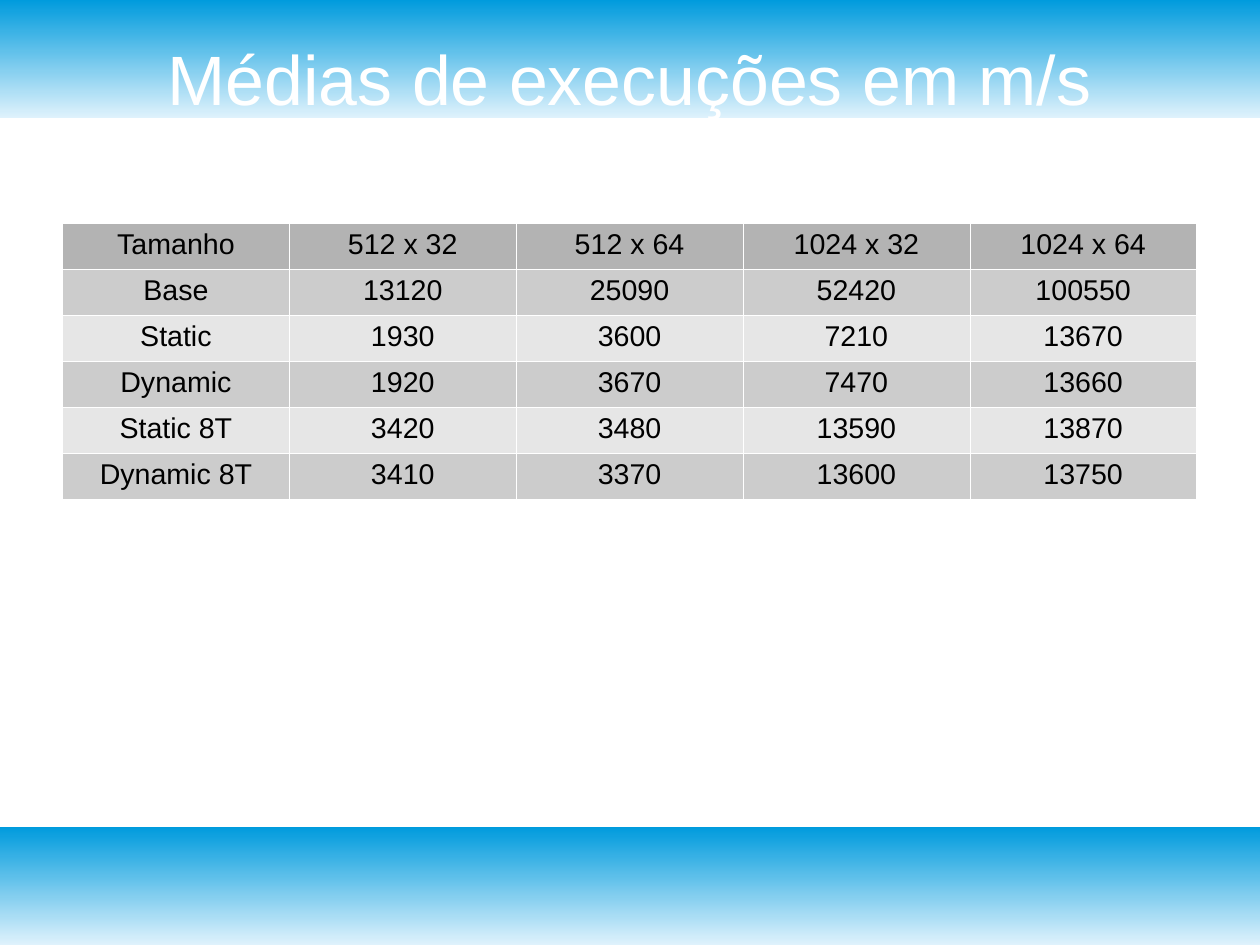
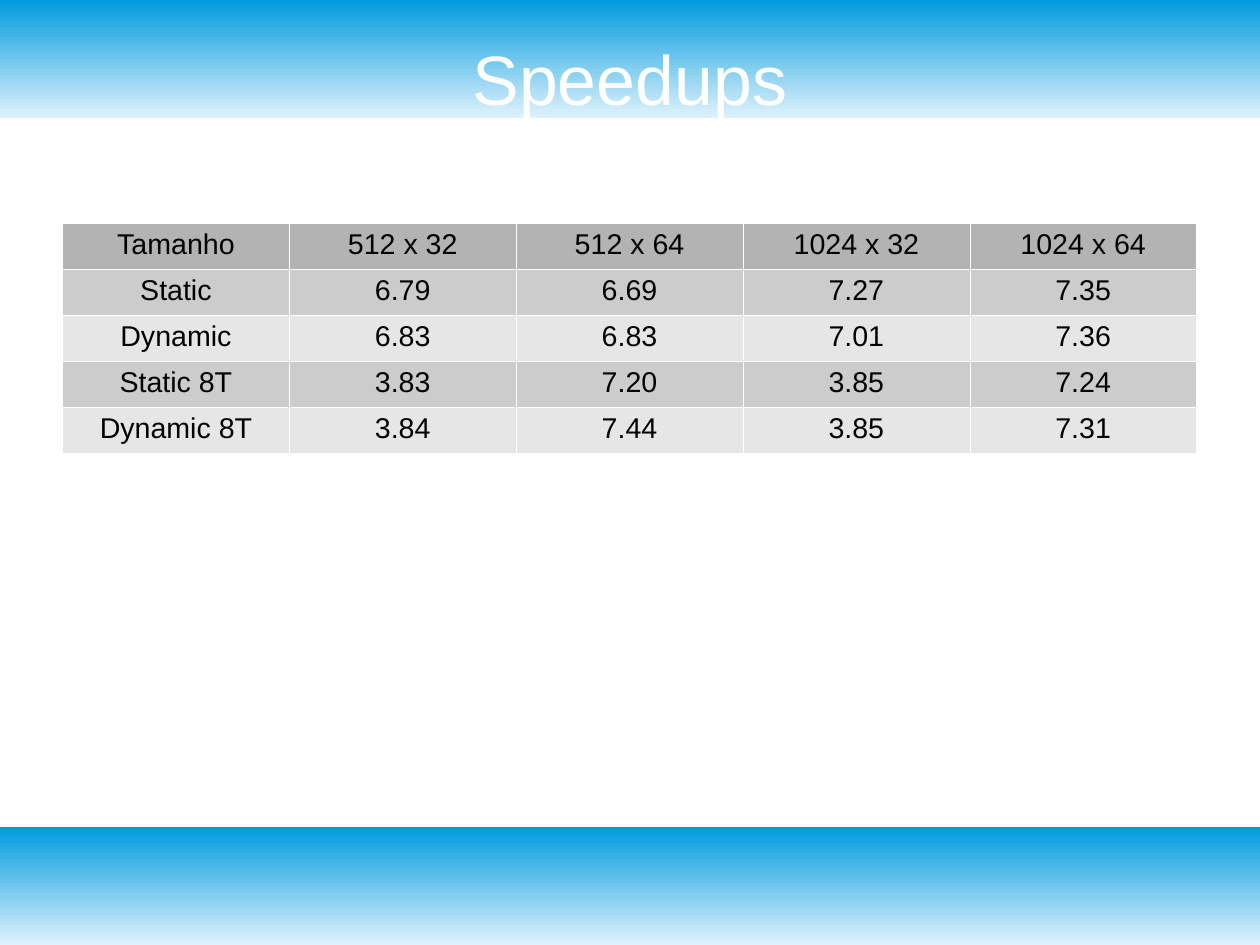
"""Builds two slides that compare run times and speedups in tables."""
from lxml import etree
from pptx import Presentation
from pptx import util as u
from pptx.dml.color import RGBColor
from pptx.enum import shapes, text
from pptx.oxml.ns import qn

SIZES = ("Tamanho", "512 x 32", "512 x 64", "1024 x 32", "1024 x 64")
SLIDES = [
    ("Médias de execuções em m/s", [
        SIZES,
        ("Base", "13120", "25090", "52420", "100550"),
        ("Static", "1930", "3600", "7210", "13670"),
        ("Dynamic", "1920", "3670", "7470", "13660"),
        ("Static 8T", "3420", "3480", "13590", "13870"),
        ("Dynamic 8T", "3410", "3370", "13600", "13750"),
    ]),
    ("Speedups", [
        SIZES,
        ("Static", "6.79", "6.69", "7.27", "7.35"),
        ("Dynamic", "6.83", "6.83", "7.01", "7.36"),
        ("Static 8T", "3.83", "7.20", "3.85", "7.24"),
        ("Dynamic 8T", "3.84", "7.44", "3.85", "7.31"),
    ]),
]

WHITE = RGBColor(0xFF, 0xFF, 0xFF)
BLACK = RGBColor(0x00, 0x00, 0x00)
BAND_COLOURS = (RGBColor(0xDF, 0xF2, 0xFC), RGBColor(0x00, 0x9B, 0xDD))
HEADER_GREY = RGBColor(0xB3, 0xB3, 0xB3)
ROW_GREYS = (RGBColor(0xCC, 0xCC, 0xCC), RGBColor(0xE6, 0xE6, 0xE6))

WIDTH, HEIGHT, BAND_HEIGHT = u.Cm(28), u.Cm(21), u.Cm(2.62)
TITLE_BOX = {"left": u.Cm(1.4), "top": u.Cm(0.84), "width": u.Cm(25.2), "height": u.Cm(1.78)}
TABLE_LEFT, TABLE_TOP = u.Cm(1.39), u.Cm(4.96)
COLUMN_WIDTH, ROW_HEIGHT = u.Cm(5.04), u.Cm(1.02)
BORDER_WIDTH = u.Pt(0.06)

TITLE_FRAME = {
    "margin_left": 0, "margin_top": 0, "margin_right": 0, "margin_bottom": 0,
    "vertical_anchor": text.MSO_ANCHOR.MIDDLE, "word_wrap": True,
    "auto_size": text.MSO_AUTO_SIZE.SHAPE_TO_FIT_TEXT,
}
TITLE_FONT = {"name": "Arial", "size": u.Pt(44), "bold": False}
CELL_FONT = {"name": "Arial", "size": u.Pt(18), "bold": False}


def set_values(target, values):
    for name, value in values.items():
        setattr(target, name, value)


def write(frame, words, font, colour):
    frame.text = words
    paragraph = frame.paragraphs[0]
    paragraph.alignment = text.PP_ALIGN.CENTER
    run = paragraph.runs[0]
    set_values(run.font, font)
    run.font.color.rgb = colour


def add_bands(layout, slide):
    """Draws both bands and places them on the shared layout, behind its title."""
    for placeholder in list(layout.placeholders)[1:]:
        layout.shapes.element.remove(placeholder.element)
    for top in (0, HEIGHT - BAND_HEIGHT):
        band = slide.shapes.add_shape(shapes.MSO_SHAPE.RECTANGLE, 0, top, WIDTH, BAND_HEIGHT)
        band.shadow.inherit = False
        band.line.fill.background()
        band.fill.gradient()
        band.fill.gradient_angle = 90
        for stop, colour in zip(band.fill.gradient_stops, BAND_COLOURS):
            stop.color.rgb = colour
        layout.shapes.element.insert(2, band.element)


def add_borders(cell):
    properties = cell._tc.get_or_add_tcPr()
    for side in ("lnL", "lnR", "lnT", "lnB"):
        line = etree.SubElement(properties, qn(f"a:{side}"), w=str(BORDER_WIDTH))
        fill = etree.SubElement(line, qn("a:solidFill"))
        etree.SubElement(fill, qn("a:srgbClr"), val=str(WHITE))


def add_title(slide, words):
    title = slide.shapes.title
    set_values(title, TITLE_BOX)
    set_values(title.text_frame, TITLE_FRAME)
    write(title.text_frame, words, TITLE_FONT, WHITE)


def add_results(slide, rows):
    columns = len(rows[0])
    table = slide.shapes.add_table(
        len(rows), columns, TABLE_LEFT, TABLE_TOP,
        COLUMN_WIDTH * columns, ROW_HEIGHT * len(rows)).table
    table.horz_banding = False
    for i, row in enumerate(rows):
        grey = ROW_GREYS[(i - 1) % 2] if i else HEADER_GREY
        for j, words in enumerate(row):
            cell = table.cell(i, j)
            write(cell.text_frame, words, CELL_FONT, BLACK)
            add_borders(cell)
            cell.fill.solid()
            cell.fill.fore_color.rgb = grey


def main():
    presentation = Presentation()
    set_values(presentation, {"slide_width": WIDTH, "slide_height": HEIGHT})
    layout = presentation.slide_layouts.get_by_name("Title Only")
    for i, (title, rows) in enumerate(SLIDES):
        slide = presentation.slides.add_slide(layout)
        if i == 0:
            add_bands(layout, slide)
            for placeholder in list(slide.placeholders)[1:]:
                slide.shapes.element.remove(placeholder.element)
        add_title(slide, title)
        add_results(slide, rows)
    presentation.save("out.pptx")


if __name__ == "__main__":
    main()
